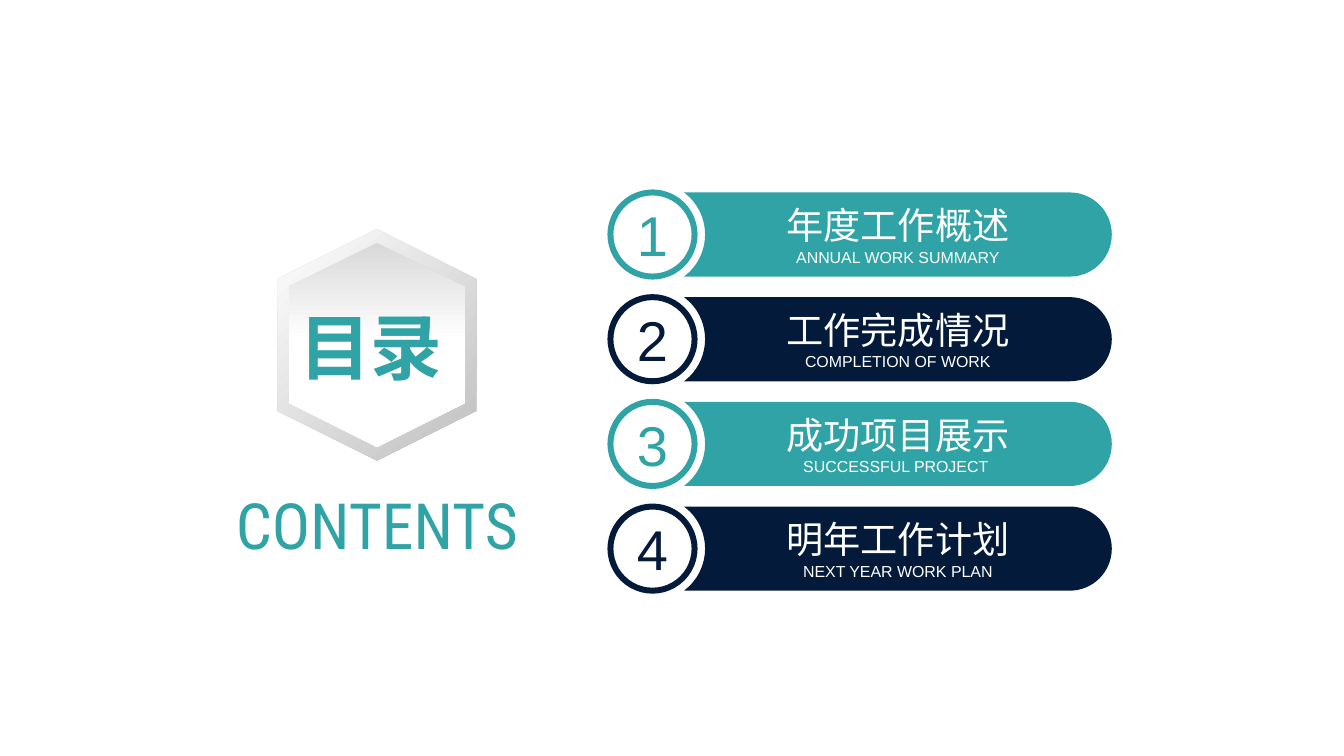
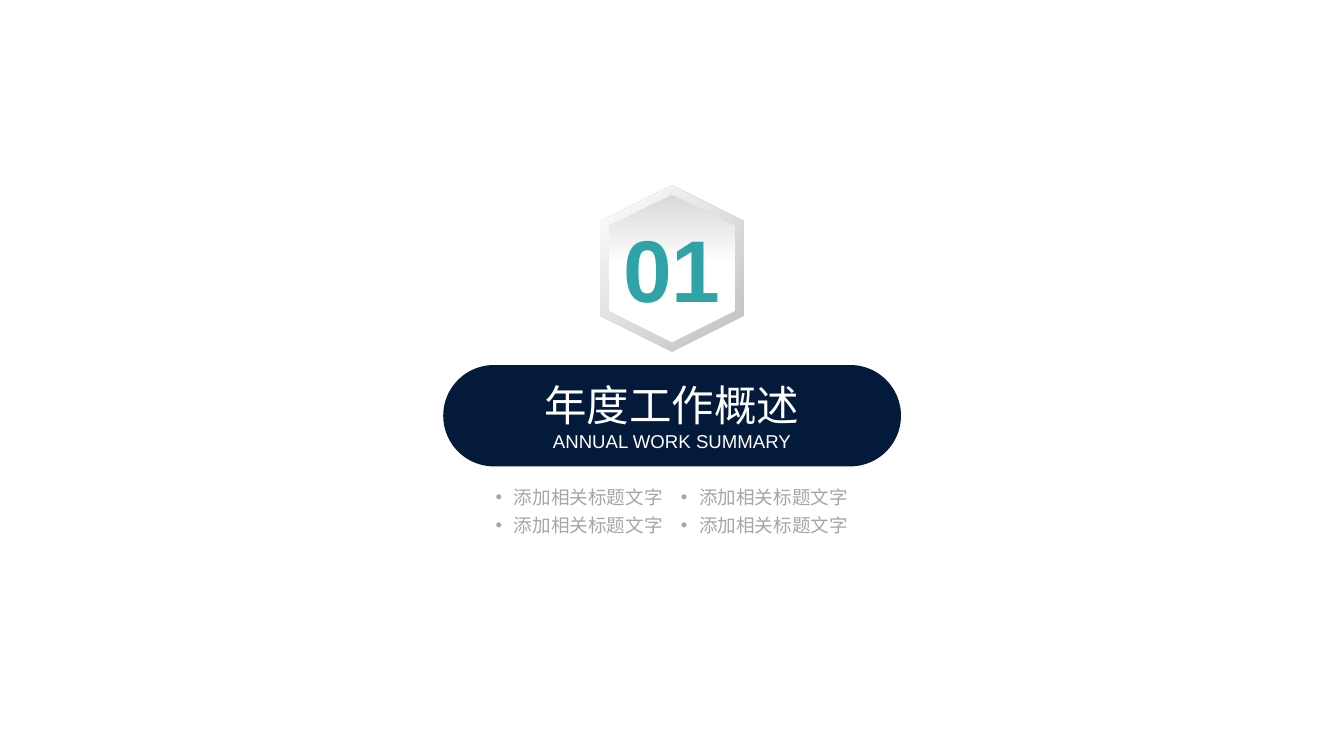
from math import cos, pi, sin, tan

from lxml.etree import SubElement
from pptx import Presentation
from pptx.dml.color import RGBColor
from pptx.enum.shapes import MSO_SHAPE
from pptx.enum.text import MSO_ANCHOR, MSO_AUTO_SIZE, PP_ALIGN
from pptx.oxml.ns import qn
from pptx.util import Inches, Pt

TEAL = RGBColor(0x2F, 0xA3, 0xA5)
NAVY = RGBColor(0x04, 0x1A, 0x3B)
WHITE = RGBColor(0xFF, 0xFF, 0xFF)
GRAY = RGBColor(0xA6, 0xA6, 0xA6)
RIM_GRAY = RGBColor(0xBF, 0xBF, 0xBF)
FACE_GRAY = RGBColor(0xD9, 0xD9, 0xD9)

SLIDE_WIDTH = Inches(14.06)
COLUMNS = 100
ROWS = 56.25
TITLE_ONLY = 5

SECTIONS = [
    ("年度工作概述", "ANNUAL WORK SUMMARY"),
    ("工作完成情况", "COMPLETION OF WORK"),
    ("成功项目展示", "SUCCESSFUL PROJECT "),
    ("明年工作计划", "NEXT YEAR WORK PLAN"),
]


def cells(count):
    return round(SLIDE_WIDTH * count / COLUMNS)


def write_text(shape, *lines, sizes, color, font="Arial", bold=False,
               wrap=True, bullet=None):
    frame = shape.text_frame
    frame.auto_size = MSO_AUTO_SIZE.NONE
    frame.word_wrap = wrap
    frame.vertical_anchor = MSO_ANCHOR.MIDDLE
    frame.margin_left = frame.margin_right = 0
    frame.margin_top = frame.margin_bottom = 0
    frame.text = "\n".join(lines)
    for paragraph, size in zip(frame.paragraphs, sizes):
        paragraph.alignment = PP_ALIGN.CENTER
        if bullet:
            properties = paragraph._p.get_or_add_pPr()
            properties.set("marL", str(Inches(0.19)))
            properties.set("indent", str(-Inches(0.19)))
            SubElement(properties, qn("a:buFont"), typeface=font)
            SubElement(properties, qn("a:buChar"), char=bullet)
        for run in paragraph.runs:
            run.font.name = font
            run.font.size = Pt(size)
            run.font.bold = bold
            run.font.color.rgb = color


def arc_points(center_x, center_y, radius, start, end):
    reach = 4 / 3 * tan((end - start) / 4)

    def point(angle, pull):
        return (center_x + radius * (cos(angle) - pull * sin(angle)),
                center_y + radius * (sin(angle) + pull * cos(angle)))

    return [point(start, reach), point(end, -reach), point(end, 0)]


class Deck:
    def __init__(self):
        self.presentation = Presentation()
        self.presentation.slide_width = SLIDE_WIDTH
        self.presentation.slide_height = cells(ROWS)
        self.slide = None

    def new_slide(self):
        layout = self.presentation.slide_layouts[TITLE_ONLY]
        self.slide = self.presentation.slides.add_slide(layout)

    def title(self, left, top, width, height, *lines, **text_format):
        shape = self.slide.shapes.title
        shape.left, shape.top = cells(left), cells(top)
        shape.width, shape.height = cells(width), cells(height)
        self.slide.shapes._spTree.append(shape._element)
        write_text(shape, *lines, **text_format)

    def text(self, left, top, width, height, *lines, **text_format):
        shape = self.slide.shapes.add_textbox(
            cells(left), cells(top), cells(width), cells(height))
        write_text(shape, *lines, **text_format)

    def plain(self, shape, fill=None):
        shape.shadow.inherit = False
        shape.line.fill.background()
        if fill is not None:
            shape.fill.solid()
            shape.fill.fore_color.rgb = fill
        return shape

    def shape(self, kind, left, top, width, height, fill=None):
        shape = self.slide.shapes.add_shape(
            kind, cells(left), cells(top), cells(width), cells(height))
        return self.plain(shape, fill)

    def outline(self, points, curves=None, fill=None):
        corners = [(cells(x), cells(y)) for x, y in points]
        builder = self.slide.shapes.build_freeform(*corners[0])
        builder.add_line_segments(corners[1:], close=True)
        shape = self.plain(builder.convert_to_shape(), fill)
        segments = list(shape._element.iter(qn("a:lnTo")))
        for index, controls in (curves or {}).items():
            segment = segments[index - 1]
            segment.tag = qn("a:cubicBezTo")
            for position, (x, y) in enumerate(controls):
                point = SubElement(segment, qn("a:pt"),
                                   x=str(cells(x) - shape.left),
                                   y=str(cells(y) - shape.top))
                segment.insert(position, point)
        return shape

    def hexagon(self, center_x, center_y, width, height, start, angle, reach):
        shape = self.shape(MSO_SHAPE.HEXAGON, center_x - width / 2,
                           center_y - height / 2, width, height)
        shape.rotation = 90
        shape.fill.gradient()
        shape.fill.gradient_angle = angle
        for stop, color, position in zip(
                shape.fill.gradient_stops, (start, WHITE), (0, reach)):
            stop.color.rgb = color
            stop.position = position

    def badge(self, center_x, center_y, scale=1):
        self.hexagon(center_x, center_y, 17.2 * scale, 14.8 * scale,
                     RIM_GRAY, 225, 1)
        self.hexagon(center_x, center_y, 15.2 * scale, 13.1 * scale,
                     FACE_GRAY, 0, 0.48)

    def banner(self, center_x, center_y, radius, right, color, heading, subtitle):
        corner_x = center_x + 0.75 * radius
        top, bottom = center_y - radius, center_y + radius
        notch = 1.25 * radius
        waist = notch * cos(pi / 4)
        points = [(corner_x, top), (right - radius, top), (right, center_y),
                  (right - radius, bottom), (corner_x, bottom),
                  (center_x + waist, center_y + waist),
                  (center_x + notch, center_y),
                  (center_x + waist, center_y - waist)]
        arcs = {2: (right - radius, radius, -pi / 2, 0),
                3: (right - radius, radius, 0, pi / 2),
                6: (center_x, notch, pi / 4, 0),
                7: (center_x, notch, 0, -pi / 4)}
        curves = {index: arc_points(x, center_y, size, start, end)[:2]
                  for index, (x, size, start, end) in arcs.items()}
        shape = self.outline(points, curves, color)
        write_text(shape, heading, subtitle, sizes=(28, 12), color=WHITE)

    def heading(self, left, top, width, height, *lines, **text_format):
        right, bottom = left + width, top + height
        shape = self.outline([(left, top), (right, top),
                              (right, bottom), (left, bottom)])
        shape.fill.background()
        write_text(shape, *lines, **text_format)

    def number(self, center_x, center_y, radius, color, label):
        shape = self.shape(MSO_SHAPE.OVAL, center_x - radius, center_y - radius,
                           2 * radius, 2 * radius, WHITE)
        shape.line.color.rgb = color
        shape.line.width = Pt(4.5)
        write_text(shape, label, sizes=(42.2,), color=color)


def contents_slide(deck):
    deck.new_slide()
    radius, pitch = 3.13, 7.79
    for index, (heading, subtitle) in enumerate(SECTIONS):
        color = NAVY if index % 2 else TEAL
        center_y = 17.45 + index * pitch
        deck.banner(48.55, center_y, radius, 82.72, color, heading, subtitle)
        deck.number(48.55, center_y, radius, color, str(index + 1))
    deck.text(17, 36.1, 22.1, 5.8, "CONTENTS", sizes=(48,), color=TEAL,
              font="Roboto Condensed")
    deck.badge(28.05, 25.67)
    deck.title(21.75, 22.5, 11.7, 6.5, "目录", sizes=(54,), color=TEAL, bold=True)


def section_slide(deck):
    deck.new_slide()
    pill = deck.shape(MSO_SHAPE.ROUNDED_RECTANGLE, 32.98, 27.16, 34.06, 7.54, NAVY)
    pill.adjustments[0] = 0.5
    deck.heading(40.15, 28.16, 19.7, 5.5, *SECTIONS[0], sizes=(32, 14), color=WHITE)
    for row in range(2):
        for column in range(2):
            deck.text(36.84 + column * 13.78, 36.13 + row * 2.1, 12.52, 1.7,
                      "添加相关标题文字", sizes=(14,), color=GRAY,
                      wrap=False, bullet="•")
    deck.badge(50, 19.97, 0.72)
    deck.title(45.65, 15.95, 8.7, 7.9, "01", sizes=(66,), color=TEAL, bold=True)


def main():
    deck = Deck()
    contents_slide(deck)
    section_slide(deck)
    deck.presentation.save("out.pptx")


if __name__ == "__main__":
    main()
